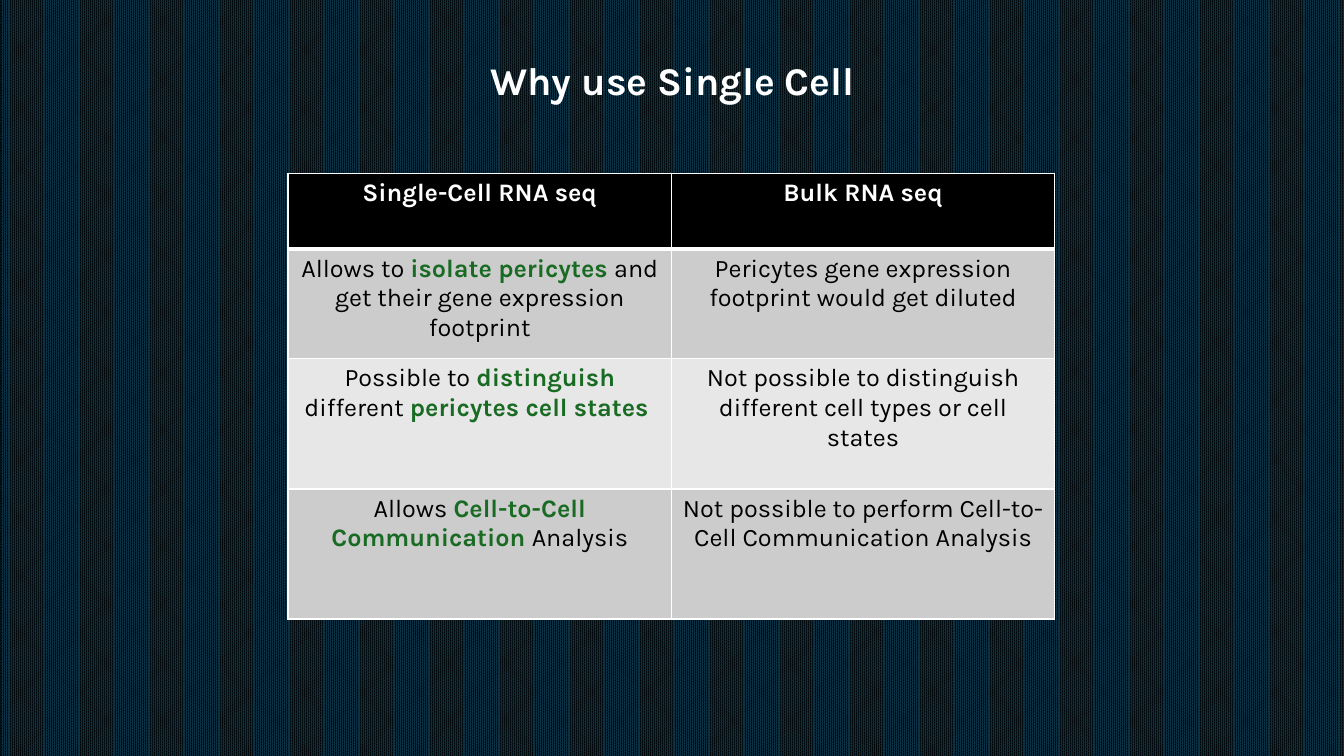
from dataclasses import dataclass

from lxml import etree
from pptx import Presentation
from pptx.dml.color import RGBColor
from pptx.enum.dml import MSO_PATTERN
from pptx.enum.text import MSO_ANCHOR, PP_ALIGN
from pptx.oxml.ns import qn
from pptx.util import Cm, Pt

CENTER = PP_ALIGN.CENTER
MIDDLE = MSO_ANCHOR.MIDDLE
DENSE_DOTS = MSO_PATTERN.PERCENT_90
TITLE_ONLY = 5


@dataclass(frozen=True)
class Theme:
    font: str = "Karla"
    title_size: int = 28
    table_size: int = 18
    white: str = "FFFFFF"
    black: str = "000000"
    navy: str = "0B3041"
    green: str = "196B24"
    bands: tuple = ("CCCCCC", "E7E7E7")
    rule: int = 1
    header_rule: int = 3


THEME = Theme()

# Formats for the kinds of text on the slide
TITLE = {"size": Pt(THEME.title_size), "bold": True, "color": THEME.white}
HEADER = {"size": Pt(THEME.table_size), "bold": True, "color": THEME.white}
PLAIN = {"size": Pt(THEME.table_size), "bold": False, "color": THEME.black}
STRONG = {"size": Pt(THEME.table_size), "bold": True, "color": THEME.green}

# Each cell is a list of (text, format) spans
COMPARISON = [
    [[("Single-Cell RNA seq", HEADER)], [("Bulk RNA seq", HEADER)]],
    [[("Allows to ", PLAIN), ("isolate pericytes ", STRONG),
      ("and get their gene expression footprint", PLAIN)],
     [("Pericytes gene expression footprint would get diluted", PLAIN)]],
    [[("Possible to ", PLAIN), ("distinguish", STRONG),
      (" different ", PLAIN), ("pericytes cell states ", STRONG)],
     [("Not possible to distinguish different cell types or cell states",
       PLAIN)]],
    [[("Allows ", PLAIN), ("Cell-to-Cell Communication ", STRONG),
      ("Analysis", PLAIN)],
     [("Not possible to perform Cell-to-Cell Communication Analysis",
       PLAIN)]],
]
ROW_HEIGHTS = (1.9, 2.77, 3.28, 3.28)
COLUMN_WIDTH = 9.66


def write_spans(para, spans):
    para.alignment = CENTER
    for text, style in spans:
        span = para.add_run()
        span.text = text
        span.font.name = THEME.font
        for name, value in style.items():
            if name == "color":
                span.font.color.rgb = RGBColor.from_string(value)
            else:
                setattr(span.font, name, value)


def paint_background(page):
    fill = page.background.fill
    fill.patterned()
    fill.pattern = DENSE_DOTS
    fill.fore_color.rgb = RGBColor.from_string(THEME.navy)
    fill.back_color.rgb = RGBColor.from_string(THEME.black)


def add_title(page, text):
    box = page.shapes.title
    place = {"left": 2.34, "top": 0.25, "width": 29.21, "height": 3.68}
    for name, value in place.items():
        setattr(box, name, Cm(value))
    box.text_frame.vertical_anchor = MIDDLE
    para = box.text_frame.paragraphs[0]
    para.line_spacing = 0.9
    write_spans(para, [(text, TITLE)])


def set_borders(cell, widths):
    properties = cell._tc.get_or_add_tcPr()
    # Border lines come before the fill, in the order of the dict
    for index, (side, width) in enumerate(widths.items()):
        line = etree.Element(qn(f"a:ln{side}"), w=str(Pt(width)))
        solid = etree.SubElement(line, qn("a:solidFill"))
        etree.SubElement(solid, qn("a:srgbClr"), val=THEME.white)
        properties.insert(index, line)


def add_comparison(page):
    columns = len(COMPARISON[0])
    table = page.shapes.add_table(
        len(COMPARISON), columns, Cm(7.26), Cm(4.37),
        Cm(columns * COLUMN_WIDTH), Cm(sum(ROW_HEIGHTS))).table
    for column in table.columns:
        column.width = Cm(COLUMN_WIDTH)
    for number, (row, height) in enumerate(zip(COMPARISON, ROW_HEIGHTS)):
        table.rows[number].height = Cm(height)
        # Black header, then alternating grey bands
        color = THEME.bands[(number - 1) % 2] if number else THEME.black
        widths = dict.fromkeys("LRTB", THEME.rule)
        if number < 2:
            widths["T" if number else "B"] = THEME.header_rule
        for position, spans in enumerate(row):
            cell = table.cell(number, position)
            cell.fill.solid()
            cell.fill.fore_color.rgb = RGBColor.from_string(color)
            set_borders(cell, widths)
            write_spans(cell.text_frame.paragraphs[0], spans)


def main():
    deck = Presentation()
    deck.slide_width, deck.slide_height = Cm(33.87), Cm(19.05)
    page = deck.slides.add_slide(deck.slide_layouts[TITLE_ONLY])
    paint_background(page)
    add_title(page, "Why use Single Cell")
    add_comparison(page)
    deck.save("out.pptx")


if __name__ == "__main__":
    main()
